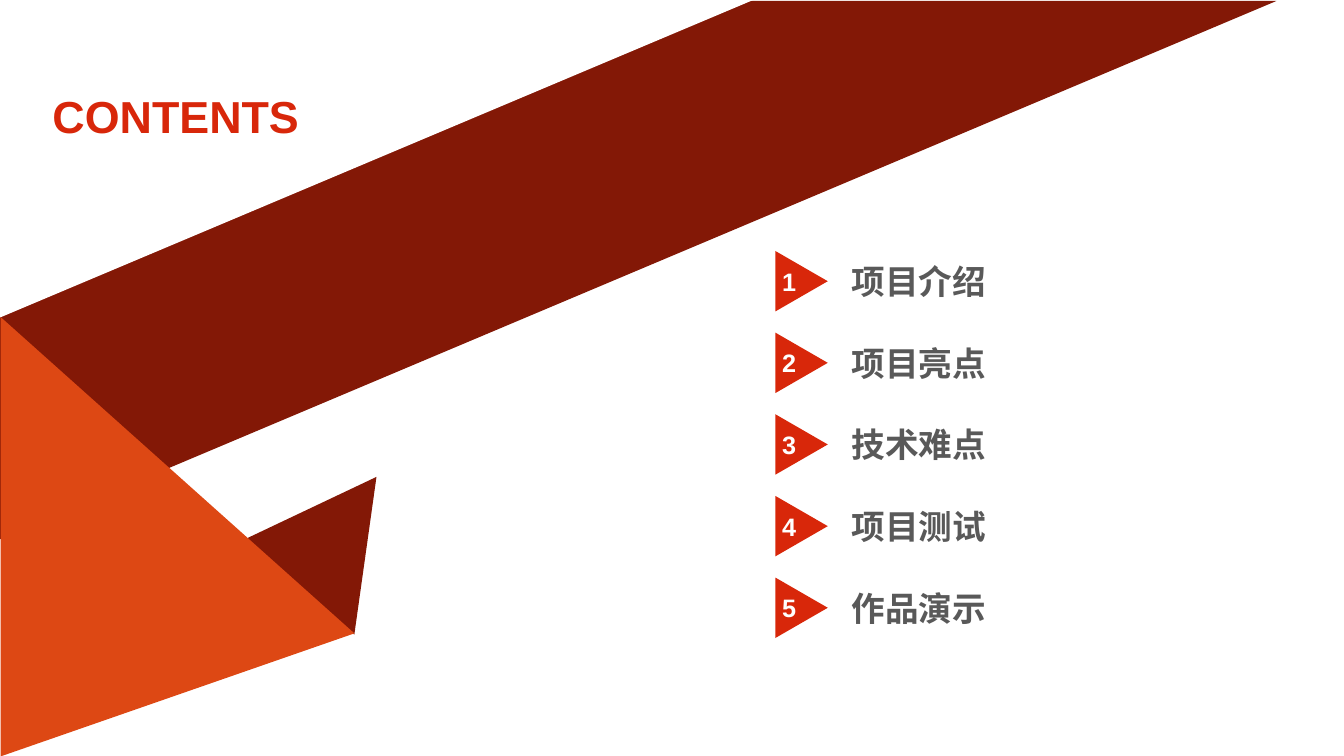
from dataclasses import dataclass

from lxml.etree import SubElement
from pptx import Presentation
from pptx.dml.color import RGBColor
from pptx.enum.shapes import MSO_SHAPE
from pptx.enum.text import MSO_ANCHOR, MSO_AUTO_SIZE, PP_ALIGN
from pptx.oxml.ns import qn
from pptx.util import Inches, Pt


@dataclass(frozen=True)
class Theme:
    paper: str = "FFFFFF"
    ribbon_back: str = "831806"
    ribbon_front: str = "DD4814"
    accent: str = "D8270A"
    topic: str = "595959"
    latin_font: str = "Arial"
    chinese_font: str = "Noto Sans CJK SC"
    title_size: int = 32
    topic_size: int = 24
    number_size: int = 18


theme = Theme()

presentation = Presentation()
presentation.slide_width = Inches(13.33)
presentation.slide_height = Inches(7.5)
slide = presentation.slides.add_slide(presentation.slide_layouts[5])


def add_triangle(kind, center_x, center_y, width, height, rotation, color):
    """Place a triangle by its centre; width and height are before rotation."""
    triangle = slide.shapes.add_shape(
        kind, Inches(center_x - width / 2), Inches(center_y - height / 2),
        Inches(width), Inches(height))
    triangle.rotation = rotation
    triangle.shadow.inherit = False
    triangle.fill.solid()
    triangle.fill.fore_color.rgb = RGBColor.from_string(color)
    triangle.line.fill.background()
    return triangle


def write_line(holder, text, font_name, size, color):
    """Fill a title or text box with one bold, left-aligned line."""
    frame = holder.text_frame
    frame.word_wrap = False
    frame.auto_size = MSO_AUTO_SIZE.NONE
    frame.vertical_anchor = MSO_ANCHOR.TOP
    paragraph = frame.paragraphs[0]
    paragraph.text = text
    paragraph.alignment = PP_ALIGN.LEFT
    paragraph.font.name = font_name
    paragraph.font.size = Pt(size)
    paragraph.font.bold = True
    paragraph.font.color.rgb = RGBColor.from_string(color)
    run_properties = paragraph.runs[0].font
    run_properties.name = font_name
    # Chinese glyphs take their face from the East Asian font
    latin = paragraph.runs[0]._r.rPr.find(qn("a:latin"))
    SubElement(latin.getparent(), qn("a:ea"), typeface=font_name)


# Folded ribbon: the white corner trims the dark band, the front fold covers its end
add_triangle(MSO_SHAPE.RIGHT_TRIANGLE, 6.33, 2.68, 5.34, 12.66, 90, theme.ribbon_back)
add_triangle(MSO_SHAPE.RIGHT_TRIANGLE, 3.735, 1.575, 3.15, 7.47, 90, theme.paper)
add_triangle(MSO_SHAPE.ISOSCELES_TRIANGLE, 3.03, 5.43, 1.58, 1.2, 278, theme.ribbon_back)
front_fold = add_triangle(
    MSO_SHAPE.ISOSCELES_TRIANGLE, 1.76, 5.325, 4.36, 3.51, 90, theme.ribbon_front)
front_fold.adjustments[0] = 0.72

# Title, raised above the ribbon
title = slide.shapes.title
title.left, title.top = Inches(0.42), Inches(0.83)
title.width, title.height = Inches(2.67), Inches(0.64)
write_line(title, "CONTENTS", theme.latin_font, theme.title_size, theme.accent)
slide.shapes._spTree.append(title._element)

# Numbered topics
topics = ["项目介绍", "项目亮点", "技术难点", "项目测试", "作品演示"]
first_center, topic_pitch = 2.79, 0.81

for index, topic in enumerate(topics):
    center = first_center + index * topic_pitch
    add_triangle(MSO_SHAPE.ISOSCELES_TRIANGLE, 7.95, center, 0.6, 0.52, 90, theme.accent)
    topic_box = slide.shapes.add_textbox(
        Inches(8.35), Inches(center - 0.25), Inches(1.53), Inches(0.5))
    write_line(topic_box, topic, theme.chinese_font, theme.topic_size, theme.topic)
    number_box = slide.shapes.add_textbox(
        Inches(7.66), Inches(center - 0.2), Inches(0.34), Inches(0.4))
    write_line(number_box, str(index + 1), theme.latin_font, theme.number_size, theme.paper)

presentation.save("out.pptx")
